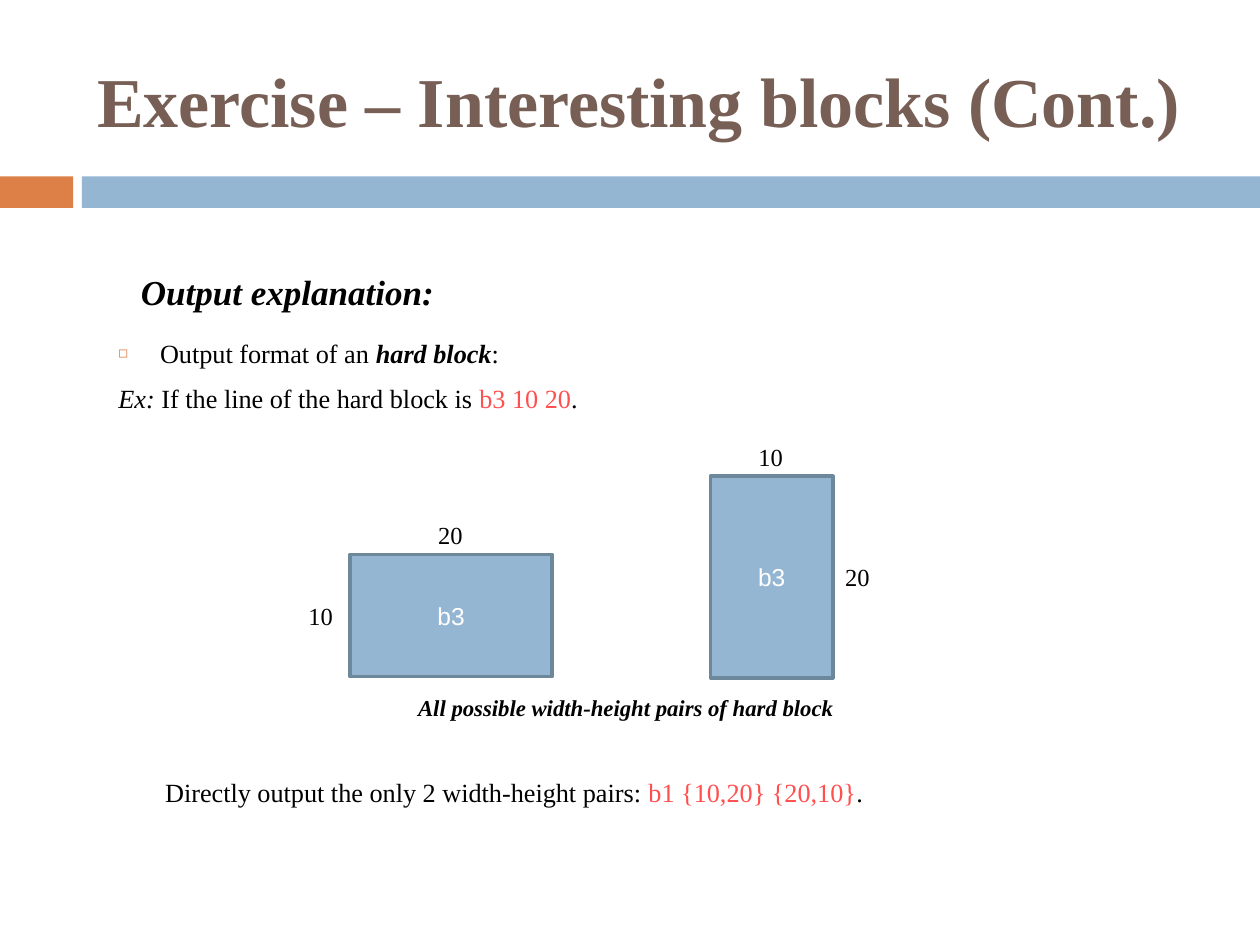
from dataclasses import dataclass

from lxml.etree import SubElement
from pptx import Presentation
from pptx.dml.color import RGBColor
from pptx.enum.shapes import MSO_SHAPE
from pptx.enum.text import MSO_ANCHOR, MSO_AUTO_SIZE, PP_ALIGN
from pptx.oxml.ns import qn
from pptx.util import Inches, Pt

SERIF, SANS = "Times New Roman", "Arial"
BLACK, WHITE, RED = "000000", "FFFFFF", "FF5050"
BROWN, ORANGE, BLUE, BLUE_EDGE = "775F55", "DD8047", "94B6D2", "6D879B"


@dataclass
class Span:
    text: str
    color: str = BLACK
    bold: bool = False
    italic: bool = False


@dataclass
class Line:
    spans: list[Span]
    indent: float
    space_before: float = 0
    bullet: str = ""


@dataclass
class Block:
    left: float
    top: float
    width: float
    height: float


@dataclass
class Label:
    text: str
    left: float
    top: float
    width: float = 0.63
    height: float = 0.34
    size: float = 14
    emphasized: bool = False


def rgb(color: str) -> RGBColor:
    return RGBColor.from_string(color)


def style(font, size: float, color: str, name: str = SERIF,
          bold: bool = False, italic: bool = False) -> None:
    font.name, font.size = name, Pt(size)
    font.bold, font.italic = bold, italic
    font.color.rgb = rgb(color)


def place(shape, left: float, top: float, width: float, height: float) -> None:
    shape.left, shape.top = Inches(left), Inches(top)
    shape.width, shape.height = Inches(width), Inches(height)


def add_rectangle(slide, area: Block, fill: str):
    rectangle = slide.shapes.add_shape(
        MSO_SHAPE.RECTANGLE, Inches(area.left), Inches(area.top),
        Inches(area.width), Inches(area.height))
    rectangle.shadow.inherit = False
    rectangle.fill.solid()
    rectangle.fill.fore_color.rgb = rgb(fill)
    rectangle.line.fill.background()
    return rectangle


def add_block(slide, block: Block, name: str) -> None:
    rectangle = add_rectangle(slide, block, BLUE)
    rectangle.line.color.rgb = rgb(BLUE_EDGE)
    rectangle.line.width = Pt(2)
    frame = rectangle.text_frame
    frame.text = name
    frame.vertical_anchor = MSO_ANCHOR.MIDDLE
    frame.paragraphs[0].alignment = PP_ALIGN.CENTER
    style(frame.paragraphs[0].runs[0].font, 14, WHITE, SANS)


def add_label(slide, label: Label) -> None:
    box = slide.shapes.add_textbox(Inches(label.left), Inches(label.top),
                                   Inches(label.width), Inches(label.height))
    frame = box.text_frame
    frame.word_wrap = True
    frame.text = label.text
    style(frame.paragraphs[0].runs[0].font, label.size, BLACK,
          bold=label.emphasized, italic=label.emphasized)


def set_bullet(paragraph, indent: float, bullet: str) -> None:
    properties = paragraph._p.get_or_add_pPr()
    properties.set("marL", str(Inches(indent)))
    properties.set("indent", str(Inches(-0.33 if bullet else 0)))
    if not bullet:
        SubElement(properties, qn("a:buNone"))
        return
    color = SubElement(properties, qn("a:buClr"))
    SubElement(color, qn("a:srgbClr"), val=ORANGE)
    SubElement(properties, qn("a:buSzPct"), val="60000")
    SubElement(properties, qn("a:buChar"), char=bullet)


def write_lines(frame, lines: list[Line]) -> None:
    for index, line in enumerate(lines):
        paragraph = frame.add_paragraph() if index else frame.paragraphs[0]
        paragraph.space_before = Pt(line.space_before)
        set_bullet(paragraph, line.indent, line.bullet)
        for span in line.spans:
            run = paragraph.add_run()
            run.text = span.text
            style(run.font, 15, span.color, bold=span.bold, italic=span.italic)


def main() -> None:
    presentation = Presentation()
    presentation.slide_width, presentation.slide_height = Inches(10), Inches(7.5)
    slide = presentation.slides.add_slide(presentation.slide_layouts[1])

    # Divider bars
    add_rectangle(slide, Block(0, 1.4, 0.58, 0.25), ORANGE)
    add_rectangle(slide, Block(0.65, 1.4, 9.35, 0.25), BLUE)

    # Title
    title = slide.shapes.title
    place(title, 0.67, 0.25, 8.92, 1.08)
    title.text_frame.text = "Exercise – Interesting blocks (Cont.)"
    title.text_frame.auto_size = MSO_AUTO_SIZE.NONE
    title.text_frame.vertical_anchor = MSO_ANCHOR.MIDDLE
    heading = title.text_frame.paragraphs[0]
    heading.alignment = PP_ALIGN.LEFT
    style(heading.runs[0].font, 40, BROWN, bold=True)

    # Explanation, with room for the diagram before the last line
    explanation = slide.placeholders[1]
    place(explanation, 0.67, 2.63, 8.26, 4.87)
    explanation.text_frame.auto_size = MSO_AUTO_SIZE.NONE
    write_lines(explanation.text_frame, [
        Line([Span("Output format of an "),
              Span("hard block", bold=True, italic=True), Span(":")],
             0.5, bullet="◻"),
        Line([Span("Ex: ", italic=True), Span("If the line of the hard block is "),
              Span("b3 10 20", RED), Span(".")], 0.17, 7.5),
        Line([Span("Directly output the only 2 width-height pairs: "),
              Span("b1 {10,20} {20,10}", RED), Span(".")], 0.54, 207),
    ])

    # The block in both orientations
    for block in (Block(2.78, 4.4, 1.6, 0.97), Block(5.64, 3.78, 0.97, 1.6)):
        add_block(slide, block, "b3")

    # Subheading, dimensions and caption
    for label in (
        Label("Output explanation:", 1.02, 2.1, 7.1, 0.44, 20, True),
        Label("10", 2.35, 4.72),
        Label("20", 3.38, 4.08),
        Label("20", 6.61, 4.41),
        Label("10", 5.92, 3.46),
        Label("All possible width-height pairs of hard block",
              3.22, 5.46, 3.81, 0.32, 13, True),
    ):
        add_label(slide, label)

    presentation.save("out.pptx")


if __name__ == "__main__":
    main()
